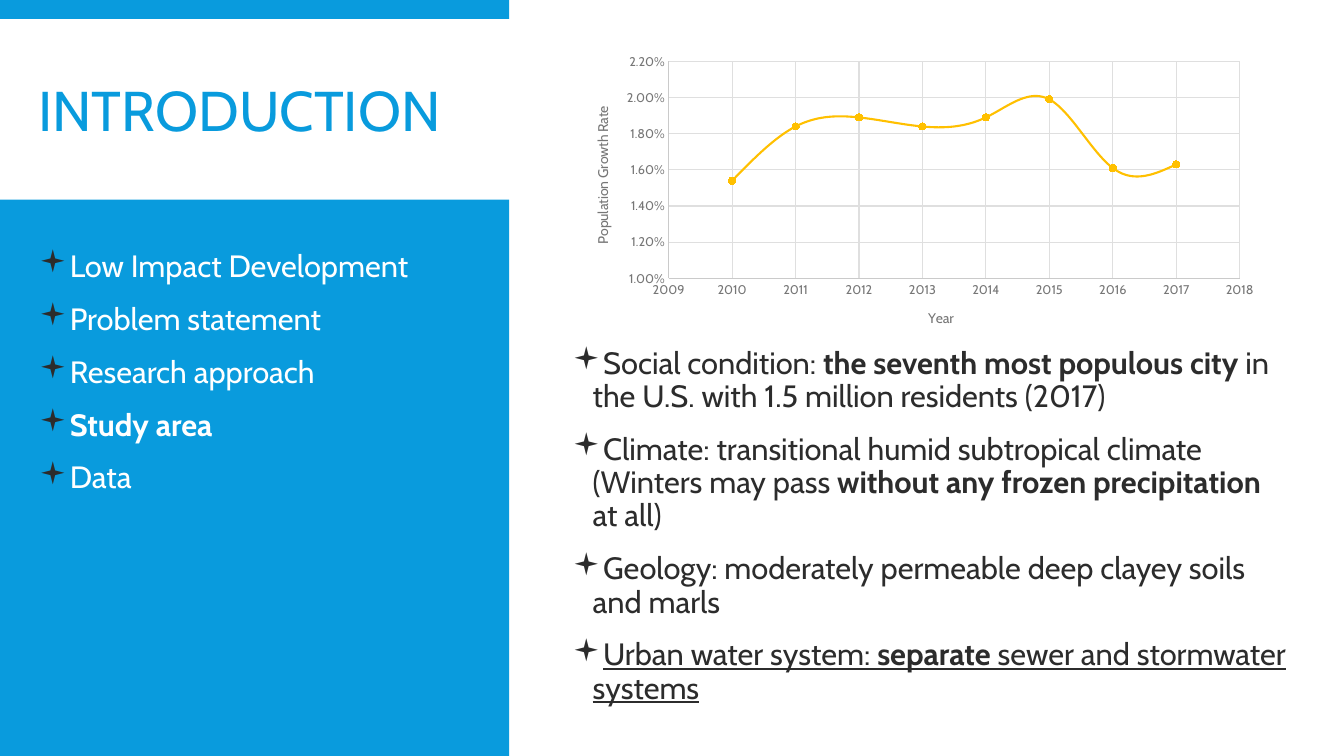
import pptx
import pptx.util
import pptx.dml.color
import pptx.chart.data
import pptx.enum.chart
import pptx.enum.shapes
import pptx.enum.text
import pptx.oxml
import pptx.oxml.ns

Inches = pptx.util.Inches
Pt = pptx.util.Pt
qn = pptx.oxml.ns.qn
BLUE, DARK, WHITE, GOLD = "099BDD", "2C2C2C", "FFFFFF", "FFC000"
GREY, GRID, EDGE = "767676", "DFDFDF", "CACACA"
FONT = "Cabin"
TOPICS = [
    [("Low Impact Development", {})],
    [("Problem statement", {})],
    [("Research approach", {})],
    [("Study area", {"bold": True})],
    [("Data", {})],
]
FACTS = [
    [("Social condition: ", {}), ("the seventh most populous city ", {"bold": True}),
     ("in the U.S. with 1.5 million residents (2017)", {})],
    [("Climate: transitional humid subtropical climate (Winters may pass ", {}),
     ("without any frozen precipitation ", {"bold": True}), ("at all)", {})],
    [("Geology: moderately permeable deep clayey soils and marls", {})],
    [("Urban water system: ", {"underline": True}),
     ("separate", {"bold": True, "underline": True}),
     (" sewer and stormwater systems", {"underline": True})],
]
RATES = [0.0163, 0.0161, 0.0199, 0.0189, 0.0184, 0.0189, 0.0184, 0.0154]


def color(text):
    return pptx.dml.color.RGBColor.from_string(text)


def apply(item, values):
    for name, value in values.items():
        setattr(item, name, value)


def style(font, size, shade, **extra):
    apply(font, {"name": FONT, "size": Pt(size), **extra})
    font.color.rgb = color(shade)


def stroke(line, shade, width):
    line.color.rgb = color(shade)
    line.width = Pt(width)


def panel(slide, box, shade):
    kind = pptx.enum.shapes.MSO_SHAPE.RECTANGLE
    shape = slide.shapes.add_shape(kind, *map(Inches, box))
    shape.shadow.inherit = False
    shape.fill.solid()
    shape.fill.fore_color.rgb = color(shade)
    shape.line.fill.background()


def head(slide, box, text):
    title = slide.shapes.title
    title.element.getparent().append(title.element)
    apply(title, dict(zip(("left", "top", "width", "height"), map(Inches, box))))
    frame = title.text_frame
    frame.text = text
    apply(frame, {"word_wrap": True, "auto_size": pptx.enum.text.MSO_AUTO_SIZE.NONE,
                  "vertical_anchor": pptx.enum.text.MSO_ANCHOR.MIDDLE})
    para = frame.paragraphs[0]
    apply(para, {"alignment": pptx.enum.text.PP_ALIGN.LEFT, "line_spacing": 0.85})
    style(para.runs[0].font, 40, BLUE)


def bullet(para):
    props = para._p.get_or_add_pPr()
    props.set("marL", str(Inches(0.2)))
    props.set("indent", str(Inches(-0.2)))
    space = pptx.oxml.ns.nsdecls("a")
    for tag in (f'<a:buClr {space}><a:srgbClr val="{DARK}"/></a:buClr>',
                f'<a:buFont {space} typeface="Wingdings" charset="2"/>',
                f'<a:buChar {space} char="▪"/>'):
        props.append(pptx.oxml.parse_xml(tag))


def bullets(slide, box, items, shade):
    frame = slide.shapes.add_textbox(*map(Inches, box)).text_frame
    frame.word_wrap = True
    for index, parts in enumerate(items):
        para = frame.add_paragraph() if index else frame.paragraphs[0]
        apply(para, {"line_spacing": 0.9, "space_before": Pt(12), "space_after": Pt(2)})
        bullet(para)
        for text, extra in parts:
            run = para.add_run()
            run.text = text
            style(run.font, 22, shade, **extra)


def layout(node, index, values):
    old = node.find(qn("c:layout"))
    if old is not None:
        node.remove(old)
    tags = "".join(f'<c:{name} val="{value}"/>' for name, value in values.items())
    node.insert(index, pptx.oxml.parse_xml(
        f'<c:layout {pptx.oxml.ns.nsdecls("c")}><c:manualLayout>{tags}'
        '</c:manualLayout></c:layout>'))


def scale(axis, text, low, high, step, form, turn, spot):
    none = pptx.enum.chart.XL_TICK_MARK.NONE
    apply(axis, {"minimum_scale": low, "maximum_scale": high, "major_unit": step,
                 "has_major_gridlines": True, "major_tick_mark": none,
                 "minor_tick_mark": none})
    apply(axis.tick_labels, {"number_format": form, "number_format_is_linked": False})
    style(axis.tick_labels.font, 9, GREY)
    stroke(axis.format.line, EDGE, 0.75)
    stroke(axis.major_gridlines.format.line, GRID, 0.75)
    frame = axis.axis_title.text_frame
    frame.text = text
    style(frame.paragraphs[0].runs[0].font, 10, GREY, bold=False)
    body = frame._txBody.find(qn("a:bodyPr"))
    body.set("rot", str(turn))
    body.set("vert", "horz")
    layout(axis.axis_title._element, 1,
           {"xMode": "edge", "yMode": "edge", "x": spot[0], "y": spot[1]})


def graph(slide, box):
    data = pptx.chart.data.XyChartData(number_format="0.00%")
    points = data.add_series("Series 1")
    for back, rate in enumerate(RATES):
        points.add_data_point(2017 - back, rate)
    kind = pptx.enum.chart.XL_CHART_TYPE.XY_SCATTER_SMOOTH
    chart = slide.shapes.add_chart(kind, *map(Inches, box), data).chart
    apply(chart, {"has_title": False, "has_legend": False})
    style(chart.font, 10, DARK)
    plot = chart.plots[0]
    plot.vary_by_categories = False
    line = plot.series[0]
    line._element.find(qn("c:smooth")).set("val", "1")
    stroke(line.format.line, GOLD, 1.5)
    mark = line.marker
    apply(mark, {"style": pptx.enum.chart.XL_MARKER_STYLE.CIRCLE, "size": 5})
    mark.format.fill.solid()
    mark.format.fill.fore_color.rgb = color(GOLD)
    stroke(mark.format.line, GOLD, 0.75)
    scale(chart.category_axis, "Year", 2009, 2018, 1, "0", 0, (0.51, 0.88))
    scale(chart.value_axis, "Population Growth Rate", 0.01, 0.022, 0.002, "0.00%",
          -5400000, (0.04, 0.21))
    area = chart._chartSpace.find(qn("c:chart")).find(qn("c:plotArea"))
    layout(area, 0, {"layoutTarget": "inner", "xMode": "edge", "yMode": "edge",
                     "x": 0.15, "y": 0.07, "w": 0.8, "h": 0.72})


def left(slide, x, y):
    panel(slide, (x, y, 5.05, 7.5), BLUE)
    panel(slide, (x, y + 0.19, 5.12, 1.79), WHITE)
    bullets(slide, (x + 0.29, y + 2.44, 4.26, 4.6), TOPICS, WHITE)
    head(slide, (x + 0.28, y + 0.31, 4.42, 1.65), "INTRODUCTION")


def right(slide, x, y):
    panel(slide, (x, y, 8.28, 7.5), WHITE)
    graph(slide, (x + 0.51, y + 0.4, 7.08, 2.99))
    bullets(slide, (x + 0.52, y + 3.4, 7.28, 3.91), FACTS, DARK)


def main():
    deck = pptx.Presentation()
    apply(deck, {"slide_width": Inches(13.33), "slide_height": Inches(7.5)})
    slide = deck.slides.add_slide(deck.slide_layouts[5])
    left(slide, 0, 0)
    right(slide, 5.06, 0)
    deck.save("out.pptx")


if __name__ == "__main__":
    main()
